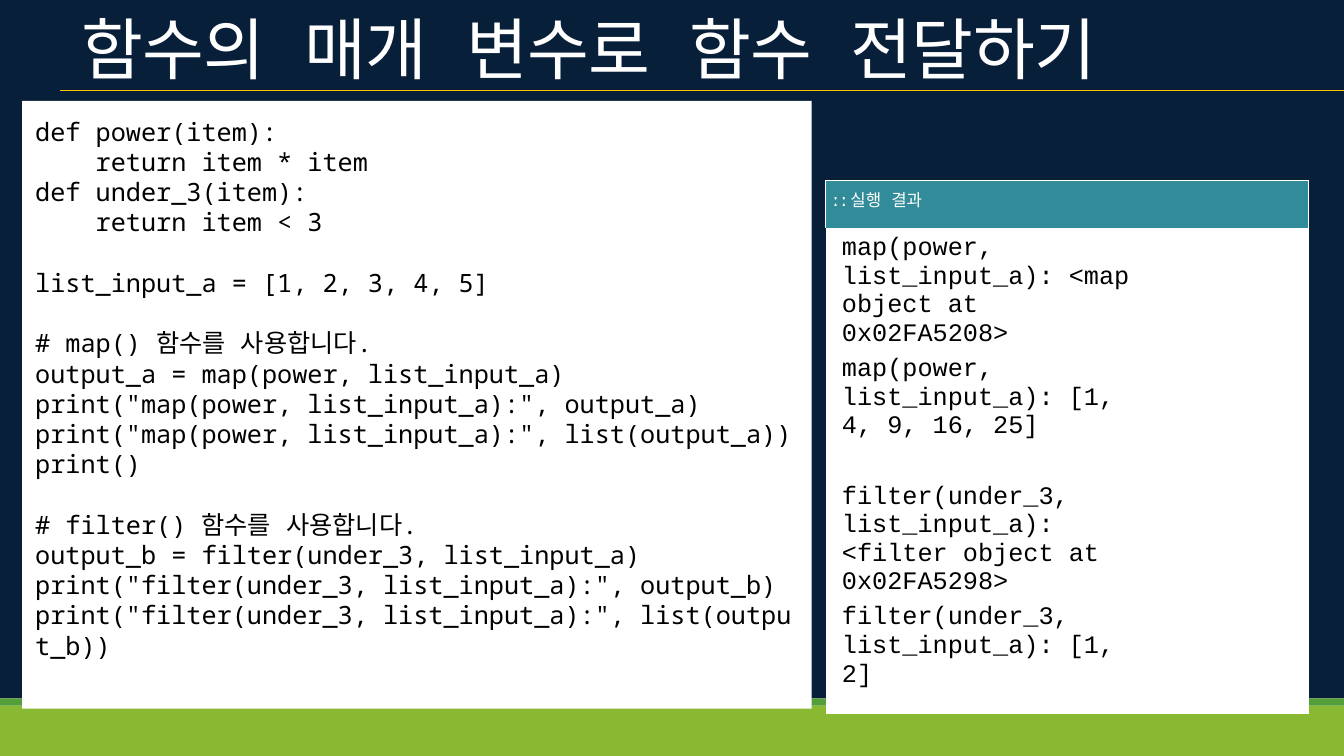
from dataclasses import dataclass

from lxml import etree
from pptx import Presentation
from pptx.dml.color import RGBColor
from pptx.enum import shapes, text
from pptx.oxml import ns
from pptx.util import Inches, Pt

NAVY, GREEN, LIME, TEAL = "081F3A", "539E39", "89B833", "318B99"
WHITE, BLACK, GOLD = "FFFFFF", "000000", "FFC000"
MONO, COURIER = "Noto Sans Mono", "Courier New"
NBSP = chr(160)
CODE_LINE = 21.6

CODE_BLOCKS = [
    """def power(item):
    return item * item
def under_3(item):
    return item < 3""",
    "list_input_a = [1, 2, 3, 4, 5]",
    """# map() 함수를 사용합니다.
output_a = map(power, list_input_a)
print("map(power, list_input_a):", output_a)
print("map(power, list_input_a):", list(output_a))
print()""",
    """# filter() 함수를 사용합니다.
output_b = filter(under_3, list_input_a)
print("filter(under_3, list_input_a):", output_b)
print("filter(under_3, list_input_a):", list(output_b))""",
]


@dataclass
class Panel:
    left: float
    top: float
    width: float
    height: float
    color: str


@dataclass
class ResultLine:
    text: str
    before: float


PANELS = [
    Panel(0, 0, 13.33, 6.93, NAVY),
    Panel(0, 7, 13.33, 0.5, LIME),
    Panel(0, 6.93, 13.33, 0.07, GREEN),
    Panel(0.22, 1, 7.83, 6.03, WHITE),
]

RESULTS = [
    ResultLine("map(power, list_input_a): <map object at 0x02FA5208>", 0),
    ResultLine("map(power, list_input_a): [1, 4, 9, 16, 25]", 4.7),
    ResultLine("filter(under_3, list_input_a): <filter object at 0x02FA5298>", 29.8),
    ResultLine("filter(under_3, list_input_a): [1, 2]", 4.7),
]


def rgb(color: str) -> RGBColor:
    return RGBColor.from_string(color)


def format_run(r, name: str, size: float, color: str, spacing: float = 0) -> None:
    """Set the font for Latin and Korean text; spacing is in points."""
    r.font.name = name
    r.font.size = Pt(size)
    r.font.color.rgb = rgb(color)
    props = r.font._element
    etree.SubElement(props, ns.qn("a:ea")).set("typeface", name)
    if spacing:
        props.set("spc", str(round(spacing * 100)))


def set_margins(box, left: float, top: float, right: float = 0) -> None:
    box.margin_left, box.margin_top = Inches(left), Inches(top)
    box.margin_right, box.margin_bottom = Inches(right), 0


def add_panel(s, panel: Panel) -> None:
    sp = s.shapes.add_shape(
        shapes.MSO_SHAPE.RECTANGLE, Inches(panel.left), Inches(panel.top),
        Inches(panel.width), Inches(panel.height))
    sp.shadow.inherit = False
    sp.fill.solid()
    sp.fill.fore_color.rgb = rgb(panel.color)
    sp.line.fill.background()


def add_code(s) -> None:
    sp = s.shapes.add_textbox(Inches(0.35), Inches(1), Inches(7.6), Inches(5.9))
    tf = sp.text_frame
    tf.word_wrap = True
    set_margins(tf, 0, 0.15)
    tf.text = "\n".join(CODE_BLOCKS).replace(" ", NBSP)
    block_starts = {block.split("\n")[0].replace(" ", NBSP) for block in CODE_BLOCKS[1:]}
    for p in tf.paragraphs:
        p.line_spacing = Pt(CODE_LINE)
        if p.text in block_starts:
            p.space_before = Pt(CODE_LINE)
        format_run(p.runs[0], MONO, 18, BLACK)


def format_title(s) -> None:
    title = s.shapes.title
    title.left, title.top = Inches(0.8), Inches(0.06)
    title.width, title.height = Inches(11.94), Inches(0.82)
    tf = title.text_frame
    tf.text = "함수의 매개 변수로 함수 전달하기"
    tf.auto_size = text.MSO_AUTO_SIZE.NONE
    tf.vertical_anchor = text.MSO_ANCHOR.TOP
    set_margins(tf, 0.01, 0.01)
    p = tf.paragraphs[0]
    p.alignment = text.PP_ALIGN.LEFT
    format_run(p.runs[0], COURIER, 48, WHITE, -0.5)
    s.shapes._spTree.append(title._element)


def add_title_rule(s) -> None:
    line = s.shapes.add_connector(
        shapes.MSO_CONNECTOR.STRAIGHT, Inches(0.6), Inches(0.9), Inches(13.33), Inches(0.9))
    line.line.color.rgb = rgb(GOLD)
    line.line.width = Pt(0.48)
    etree.SubElement(line._element.spPr, ns.qn("a:effectLst"))


def fill_cell(cell, color: str) -> None:
    cell.fill.solid()
    cell.fill.fore_color.rgb = rgb(color)


def add_borders(cell, color: str, width: float) -> None:
    """Draw the left, right and top borders of a cell."""
    props = cell._tc.get_or_add_tcPr()
    for i, side in enumerate(("lnL", "lnR", "lnT")):
        ln = etree.Element(ns.qn(f"a:{side}"), w=str(Pt(width)))
        fill = etree.SubElement(ln, ns.qn("a:solidFill"))
        etree.SubElement(fill, ns.qn("a:srgbClr"), val=color)
        props.insert(i, ln)


def add_results(s) -> None:
    table = s.shapes.add_table(
        2, 1, Inches(8.19), Inches(1.79), Inches(4.79), Inches(5.29)).table
    table.first_row = table.horz_banding = False
    # "No Style, No Grid"
    table._tbl.tblPr[0].text = "{2D5ABB26-0587-4C30-8999-92F81FD0307C}"
    table.rows[0].height, table.rows[1].height = Inches(0.47), Inches(4.82)
    header, body = table.cell(0, 0), table.cell(1, 0)

    fill_cell(header, TEAL)
    add_borders(header, WHITE, 1)
    set_margins(header, 0.07, 0.11)
    p = header.text_frame.paragraphs[0]
    for label, name, spacing in (("ː ː ", "Arial", -0.7), ("실행 결과", COURIER, 0)):
        r = p.add_run()
        r.text = label
        r.font.bold = name == "Arial"
        format_run(r, name, 12, WHITE, spacing)

    fill_cell(body, WHITE)
    set_margins(body, 0.16, 0.07, 1.75)
    tf = body.text_frame
    tf.text = "\n".join(result.text for result in RESULTS)
    for p, result in zip(tf.paragraphs, RESULTS):
        if result.before:
            p.space_before = Pt(result.before)
        format_run(p.runs[0], COURIER, 18, BLACK)


def main() -> None:
    prs = Presentation()
    prs.slide_width, prs.slide_height = Inches(13.33), Inches(7.5)
    s = prs.slides.add_slide(prs.slide_layouts[5])
    for panel in PANELS:
        add_panel(s, panel)
    add_code(s)
    format_title(s)
    add_title_rule(s)
    add_results(s)
    prs.save("out.pptx")


if __name__ == "__main__":
    main()
